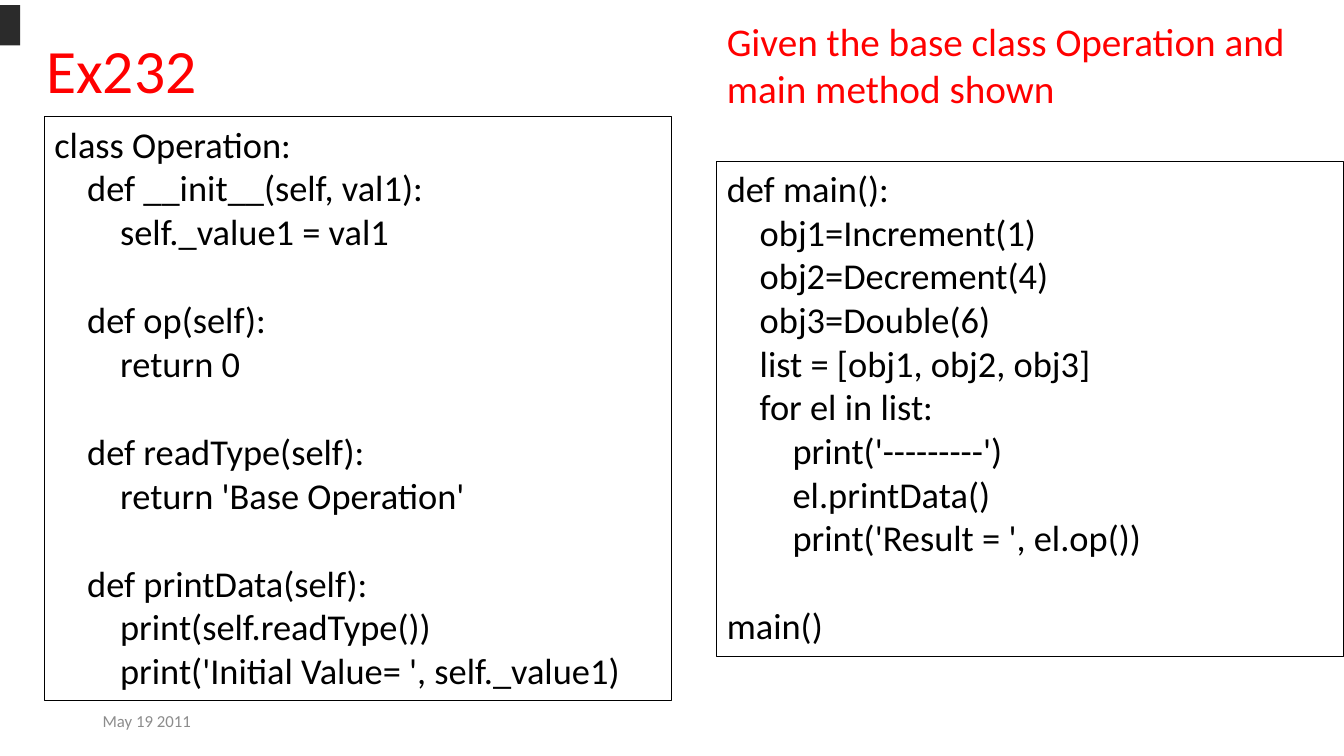
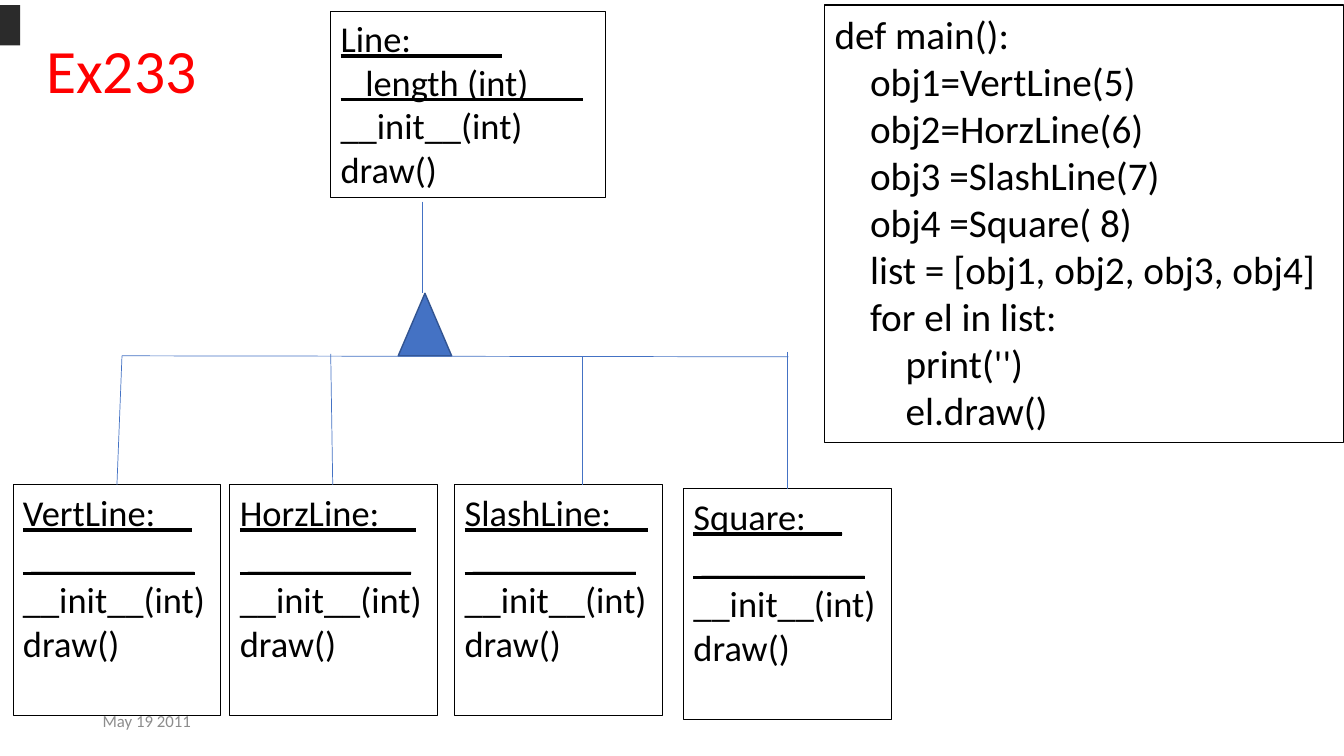
from typing import NamedTuple

from lxml import etree
from pptx import Presentation
from pptx.dml.color import RGBColor
from pptx.enum.shapes import MSO_CONNECTOR, MSO_SHAPE
from pptx.enum.text import MSO_ANCHOR, PP_ALIGN
from pptx.oxml.ns import qn
from pptx.util import Inches, Pt

RECT = MSO_SHAPE.RECTANGLE
TRIANGLE = MSO_SHAPE.ISOSCELES_TRIANGLE
STRAIGHT = MSO_CONNECTOR.STRAIGHT
LEFT = PP_ALIGN.LEFT
TOP, MIDDLE = MSO_ANCHOR.TOP, MSO_ANCHOR.MIDDLE

FONT = "Calibri"
BLACK, RED, GREY, DARK = "000000", "FF0000", "8C8C8C", "2B2B2B"
BLUE, NAVY = "4472C4", "325491"
PITCH = 1.22  # line height of the font, in ems
SPACE = 0.226  # width of a space, in ems


class Box(NamedTuple):
    left: float
    top: float
    width: float
    height: float


class Row(NamedTuple):
    """A line of text: its indent in spaces and the blank lines above it."""
    text: str
    indent: int = 0
    gap: int = 0
    under: bool = False


class Node(NamedTuple):
    name: str
    box: Box
    field: str = " _________"
    rule: str = "__"


class Link(NamedTuple):
    x1: float
    y1: float
    x2: float
    y2: float


BASE = """
class Operation:
    def __init__(self, val1):
        self._value1 = val1

    def op(self):
        return 0

    def readType(self):
        return 'Base Operation'

    def printData(self):
        print(self.readType())
        print('Initial Value= ', self._value1)
"""
MAIN_OPS = """
def main():
    obj1=Increment(1)
    obj2=Decrement(4)
    obj3=Double(6)
    list = [obj1, obj2, obj3]
    for el in list:
        print('---------')
        el.printData()
        print('Result = ', el.op())

main()
"""
MAIN_LINES = """
def main():
    obj1=VertLine(5)
    obj2=HorzLine(6)
    obj3 =SlashLine(7)
    obj4 =Square( 8)
    list = [obj1, obj2, obj3, obj4]
    for el in list:
        print('')
        el.draw()
"""

NODES = [
    Node("Line", Box(3.28, 0.11, 2.73, 1.85), "   length (int)___", "_____"),
    Node("VertLine", Box(0.13, 4.81, 2.06, 2.29)),
    Node("HorzLine", Box(2.28, 4.81, 2.06, 2.29)),
    Node("SlashLine", Box(4.51, 4.81, 2.06, 2.29)),
    Node("Square", Box(6.78, 4.85, 2.06, 2.29)),
]
LINKS = [
    Link(4.19, 2, 4.19, 2.91),
    Link(1.21, 3.53, 7.82, 3.54),
    Link(1.21, 3.53, 1.16, 4.81),
    Link(3.28, 3.51, 3.3, 4.81),
    Link(5.78, 3.54, 5.78, 4.81),
    Link(7.81, 3.49, 7.81, 4.85),
]


def color(code: str) -> RGBColor:
    return RGBColor.from_string(code)


def place(box: Box) -> list:
    return [Inches(side) for side in box]


def write(shape, rows: list[Row], size: float, ink: str = BLACK,
          anchor=TOP, pitch: float = 1.0) -> None:
    frame = shape.text_frame
    frame.word_wrap = True
    frame.vertical_anchor = anchor
    for i, row in enumerate(rows):
        para = frame.add_paragraph() if i else frame.paragraphs[0]
        style = {"alignment": LEFT, "line_spacing": pitch,
                 "space_before": Pt(row.gap * size * PITCH)}
        for key, value in style.items():
            setattr(para, key, value)
        margin = Pt(row.indent * size * SPACE)
        para._p.get_or_add_pPr().set("marL", str(int(margin)))
        run = para.add_run()
        run.text = row.text
        look = {"name": FONT, "size": Pt(size), "underline": row.under}
        for key, value in look.items():
            setattr(run.font, key, value)
        run.font.color.rgb = color(ink)


def label(slide, box: Box, rows: list[Row], size: float, ink: str,
          anchor=TOP, pitch: float = 1.0) -> None:
    text = slide.shapes.add_textbox(*place(box))
    write(text, rows, size, ink, anchor, pitch)


def draw(slide, kind, box: Box, fill: str = "", line: str = "",
         width: float = 0.75):
    """Add a preset shape; an empty colour means no fill or no line."""
    shape = slide.shapes.add_shape(kind, *place(box))
    shape.shadow.inherit = False
    if fill:
        shape.fill.solid()
        shape.fill.fore_color.rgb = color(fill)
    else:
        shape.fill.background()
    if line:
        shape.line.color.rgb = color(line)
        shape.line.width = Pt(width)
    else:
        shape.line.fill.background()
    return shape


def panel(slide, box: Box, rows: list[Row], size: float = 26) -> None:
    """Add a framed box of text."""
    write(draw(slide, RECT, box, line=BLACK), rows, size)


def code(source: str) -> list[Row]:
    """Turn leading spaces into indents and blank lines into gaps."""
    rows, gap = [], 0
    for line in source.strip().splitlines():
        text = line.lstrip()
        if text:
            rows.append(Row(text, len(line) - len(text), gap))
            gap = 0
        else:
            gap += 1
    return rows


def members(node: Node) -> list[Row]:
    return [Row(f"{node.name}:{node.rule}", under=True),
            Row(node.field, under=True),
            Row("__init__(int)"), Row("draw()")]


def join(slide, link: Link) -> None:
    line = slide.shapes.add_connector(STRAIGHT, *[Inches(v) for v in link])
    line.line.color.rgb = color(BLUE)
    line.line.width = Pt(0.5)
    etree.SubElement(line._element.spPr, qn("a:effectLst"))


def start(deck, title: str):
    """Add a slide with the shared date, title and corner mark."""
    slide = deck.slides.add_slide(deck.slide_layouts[6])
    label(slide, Box(0.92, 6.95, 3, 0.4), [Row("May 19 2011")], 12, GREY,
          MIDDLE)
    label(slide, Box(0.36, 0, 11.5, 1.45), [Row(title)], 44, RED, MIDDLE, 0.9)
    draw(slide, RECT, Box(0, 0.05, 0.2, 0.4), DARK)
    return slide


def ops(deck) -> None:
    slide = start(deck, "Ex232")
    task = [Row("Given the base class Operation and"),
            Row("main method shown")]
    label(slide, Box(7.11, 0.12, 6.22, 1.48), task, 28, RED)
    panel(slide, Box(0.44, 1.16, 6.22, 5.79), code(BASE))
    panel(slide, Box(7.11, 1.6, 6.22, 4.91), code(MAIN_OPS))


def lines(deck) -> None:
    slide = start(deck, "Ex233")
    for node in NODES:
        panel(slide, node.box, members(node))
    draw(slide, TRIANGLE, Box(3.95, 2.91, 0.53, 0.62), BLUE, NAVY, 1)
    for link in LINKS:
        join(slide, link)
    panel(slide, Box(8.18, 0.05, 5.15, 4.34), code(MAIN_LINES), 28)


def main() -> None:
    deck = Presentation()
    deck.slide_width, deck.slide_height = Inches(13.33), Inches(7.5)
    ops(deck)
    lines(deck)
    deck.save("out.pptx")


if __name__ == "__main__":
    main()
